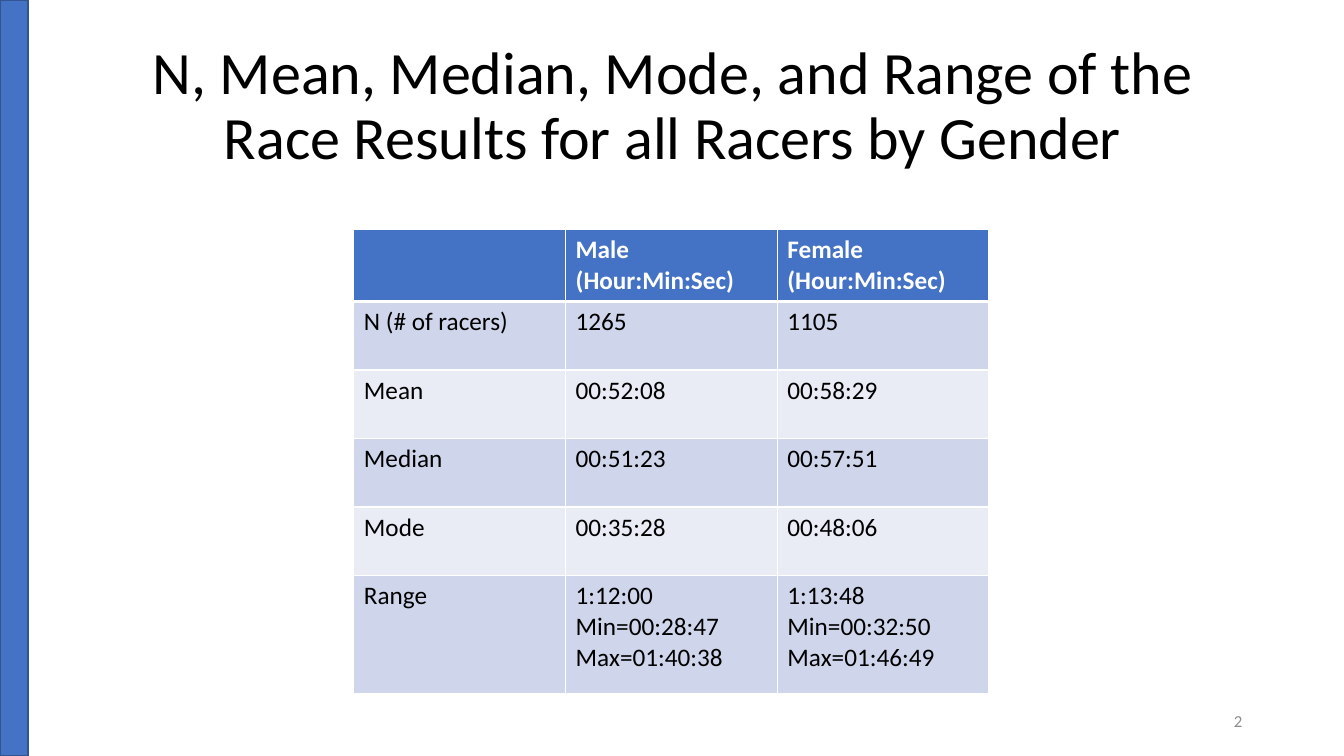
from lxml.etree import SubElement
from pptx import Presentation
from pptx.dml.color import RGBColor
from pptx.enum.shapes import MSO_SHAPE
from pptx.enum.text import MSO_ANCHOR, MSO_AUTO_SIZE, PP_ALIGN
from pptx.oxml.ns import qn
from pptx.util import Inches, Pt

# Content
TITLE = "N, Mean, Median, Mode, and Range of the Race Results for all Racers by Gender"
PAGE_NUMBER = "2"
RESULTS = [
    ("", "Male (Hour:Min:Sec)", "Female (Hour:Min:Sec)"),
    ("N (# of racers)", "1265", "1105"),
    ("Mean", "00:52:08", "00:58:29"),
    ("Median", "00:51:23", "00:57:51"),
    ("Mode", "00:35:28", "00:48:06"),
    ("Range", "1:12:00\nMin=00:28:47\nMax=01:40:38",
     "1:13:48\nMin=00:32:50\nMax=01:46:49"),
]
COLUMN_WIDTH = 2.1
ROW_HEIGHTS = [0.67, 0.68, 0.68, 0.68, 0.68, 1.17]
BLUE, WHITE, BLACK = "4472C4", "FFFFFF", "000000"
BANDS = ["E9EBF5", "CFD5EA"]


def color(value):
    return RGBColor.from_string(value)


def write(frame, text, size=18, ink=BLACK, bold=False, align=PP_ALIGN.LEFT,
          anchor=MSO_ANCHOR.TOP, spacing=1.0):
    frame.word_wrap = True
    frame.vertical_anchor = anchor
    frame.text = text
    for para in frame.paragraphs:
        para.alignment = align
        para.line_spacing = spacing
        for span in para.runs:
            span.font.name = "Calibri"
            span.font.size = Pt(size)
            span.font.bold = bold
            span.font.color.rgb = color(ink)


def add_borders(cell, bottom, top):
    properties = cell._tc.get_or_add_tcPr()
    widths = {"a:lnL": 1, "a:lnR": 1, "a:lnT": top, "a:lnB": bottom}
    for position, (tag, width) in enumerate(widths.items()):
        line = SubElement(properties, qn(tag), w=str(Pt(width)))
        fill = SubElement(line, qn("a:solidFill"))
        SubElement(fill, qn("a:srgbClr"), val=WHITE)
        properties.insert(position, line)  # borders come before the cell fill


deck = Presentation()
deck.slide_width, deck.slide_height = Inches(13.33), Inches(7.5)
page = deck.slides.add_slide(deck.slide_layouts[5])

# Results table
table = page.shapes.add_table(
    len(RESULTS), len(RESULTS[0]), Inches(3.51), Inches(2.28),
    Inches(COLUMN_WIDTH * len(RESULTS[0])), Inches(sum(ROW_HEIGHTS))).table
for column in table.columns:
    column.width = Inches(COLUMN_WIDTH)
for r, (height, values) in enumerate(zip(ROW_HEIGHTS, RESULTS)):
    table.rows[r].height = Inches(height)
    header = r == 0
    for c, value in enumerate(values):
        cell = table.cell(r, c)
        cell.fill.solid()
        cell.fill.fore_color.rgb = color(BLUE if header else BANDS[r % 2])
        add_borders(cell, bottom=3 if header else 1, top=3 if r == 1 else 1)
        write(cell.text_frame, value, ink=WHITE if header else BLACK, bold=header)

# Title
title = page.shapes.title
title.left, title.top = Inches(0.92), Inches(0.34)
title.width, title.height = Inches(11.5), Inches(1.45)
title.text_frame.auto_size = MSO_AUTO_SIZE.NONE
write(title.text_frame, TITLE, size=42.9, align=PP_ALIGN.CENTER,
      anchor=MSO_ANCHOR.MIDDLE, spacing=0.9)

# Page number
number = page.shapes.add_textbox(Inches(9.42), Inches(6.95), Inches(3), Inches(0.4))
write(number.text_frame, PAGE_NUMBER, size=12, ink="8C8C8C",
      align=PP_ALIGN.RIGHT, anchor=MSO_ANCHOR.MIDDLE)

# Side bar
bar = page.shapes.add_shape(MSO_SHAPE.RECTANGLE, 0, 0, Inches(0.28), deck.slide_height)
bar.shadow.inherit = False
bar.fill.solid()
bar.fill.fore_color.rgb = color(BLUE)
bar.line.color.rgb = color("325491")
bar.line.width = Pt(1)

deck.save("out.pptx")
